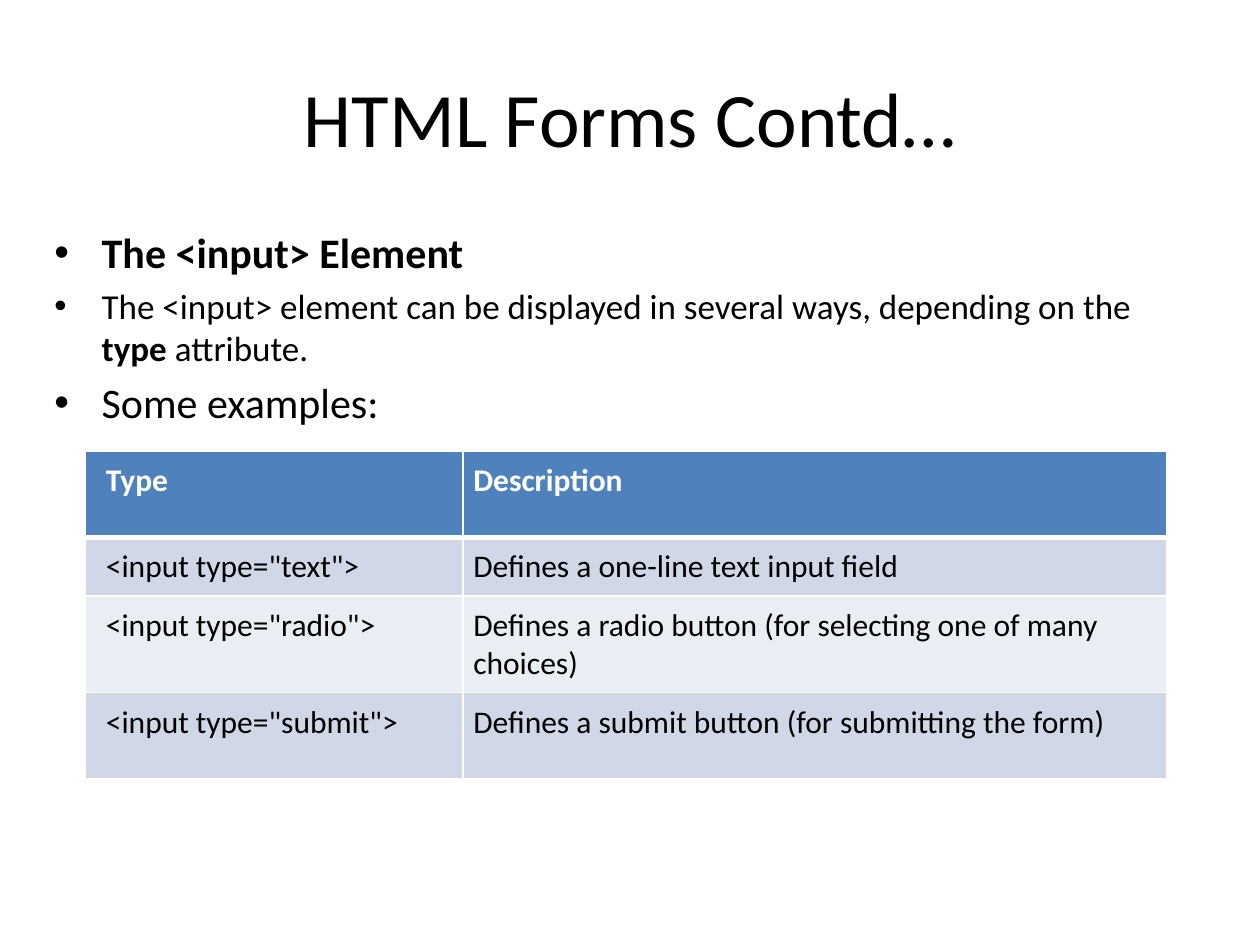
"""Build the HTML forms slide about the input element."""
from lxml.etree import SubElement
from pptx import Presentation
from pptx.dml.color import RGBColor
from pptx.enum.text import MSO_ANCHOR, PP_ALIGN
from pptx.oxml import parse_xml
from pptx.oxml.ns import nsdecls, qn
from pptx.util import Pt

FONT = "Calibri"
BLACK, WHITE = "000000", "FFFFFF"
HEADER_FILL, BAND_FILLS = "4F81BD", ("D0D8E8", "E9EDF4")
BULLETS = [
    (24, [("The <input> Element", True)]),
    (20, [("The <input> element can be displayed in several ways, depending on the ", False),
          ("type", True), (" attribute.", False)]),
    (24, [("Some examples:", False)]),
]
INPUT_TYPES = [
    ("Type", "Description"),
    ('<input type="text">', "Defines a one-line text input field"),
    ('<input type="radio">', "Defines a radio button (for selecting one of many choices)"),
    ('<input type="submit">', "Defines a submit button (for submitting the form)"),
]
COLUMN_WIDTHS = (216, 402)
ROW_HEIGHTS = (49, 31, 51, 49)


def rgb(color):
    """Turn a hex string into a colour."""
    return RGBColor.from_string(color)


def add_run(p, text, size, color=BLACK, bold=False):
    """Add one formatted run to a paragraph."""
    r = p.add_run()
    r.text = text
    r.font.name, r.font.size, r.font.bold = FONT, Pt(size), bold
    r.font.color.rgb = rgb(color)


def add_text_box(s, left, top, width, height, anchor=MSO_ANCHOR.TOP):
    """Add a wrapping text box and return its text frame."""
    tf = s.shapes.add_textbox(Pt(left), Pt(top), Pt(width), Pt(height)).text_frame
    tf.word_wrap = True
    tf.vertical_anchor = anchor
    return tf


def set_bullet(p, indent):
    """Give a paragraph a hanging round bullet."""
    pPr = p._p.get_or_add_pPr()
    pPr.set("marL", str(Pt(indent)))
    pPr.set("indent", str(-Pt(indent)))
    SubElement(pPr, qn("a:buFont"), typeface="Arial")
    SubElement(pPr, qn("a:buChar"), char="•")


def add_title(s, text):
    """Add the centred slide title."""
    tf = add_text_box(s, 36, 21.6, 648, 90, MSO_ANCHOR.MIDDLE)
    p = tf.paragraphs[0]
    p.alignment = PP_ALIGN.CENTER
    add_run(p, text, 44)


def add_bullets(s, bullets):
    """Add the bulleted body text."""
    tf = add_text_box(s, 24, 126, 660, 356.4)
    for i, (size, runs) in enumerate(bullets):
        p = tf.add_paragraph() if i else tf.paragraphs[0]
        p.space_before = Pt(size * 0.2)
        set_bullet(p, 27)
        for text, bold in runs:
            add_run(p, text, size, bold=bold)


def set_borders(cell, color, bottom):
    """Draw one-point cell borders with a chosen bottom width."""
    tcPr = cell._tc.get_or_add_tcPr()
    for i, (side, width) in enumerate(zip("LRTB", (1, 1, 1, bottom))):
        tcPr.insert(i, parse_xml(
            f'<a:ln{side} {nsdecls("a")} w="{Pt(width)}"><a:solidFill>'
            f'<a:srgbClr val="{color}"/></a:solidFill></a:ln{side}>'))


def fill_cell(cell, text, row, column):
    """Write and style one table cell."""
    header = row == 0
    cell.margin_left = Pt(6 if column else 12)
    cell.margin_right = cell.margin_top = cell.margin_bottom = Pt(6)
    cell.fill.solid()
    cell.fill.fore_color.rgb = rgb(HEADER_FILL if header else BAND_FILLS[(row - 1) % 2])
    set_borders(cell, WHITE, 3 if header or row == 0 else 1)
    if row == 1:
        cell._tc.tcPr.find(qn("a:lnT")).set("w", str(Pt(3)))
    add_run(cell.text_frame.paragraphs[0], text, 18, WHITE if header else BLACK, header)


def add_type_table(s, rows):
    """Add the table of input types."""
    table = s.shapes.add_table(len(rows), len(COLUMN_WIDTHS), Pt(48.5), Pt(258),
                               Pt(sum(COLUMN_WIDTHS)), Pt(sum(ROW_HEIGHTS))).table
    for column, width in zip(table.columns, COLUMN_WIDTHS):
        column.width = Pt(width)
    for i, (texts, height) in enumerate(zip(rows, ROW_HEIGHTS)):
        table.rows[i].height = Pt(height)
        for j, text in enumerate(texts):
            fill_cell(table.cell(i, j), text, i, j)


def main():
    """Build and save the slide."""
    prs = Presentation()
    prs.slide_width, prs.slide_height = Pt(720), Pt(540)
    s = prs.slides.add_slide(prs.slide_layouts[6])
    add_title(s, "HTML Forms Contd…")
    add_bullets(s, BULLETS)
    add_type_table(s, INPUT_TYPES)
    prs.save("out.pptx")


if __name__ == "__main__":
    main()
